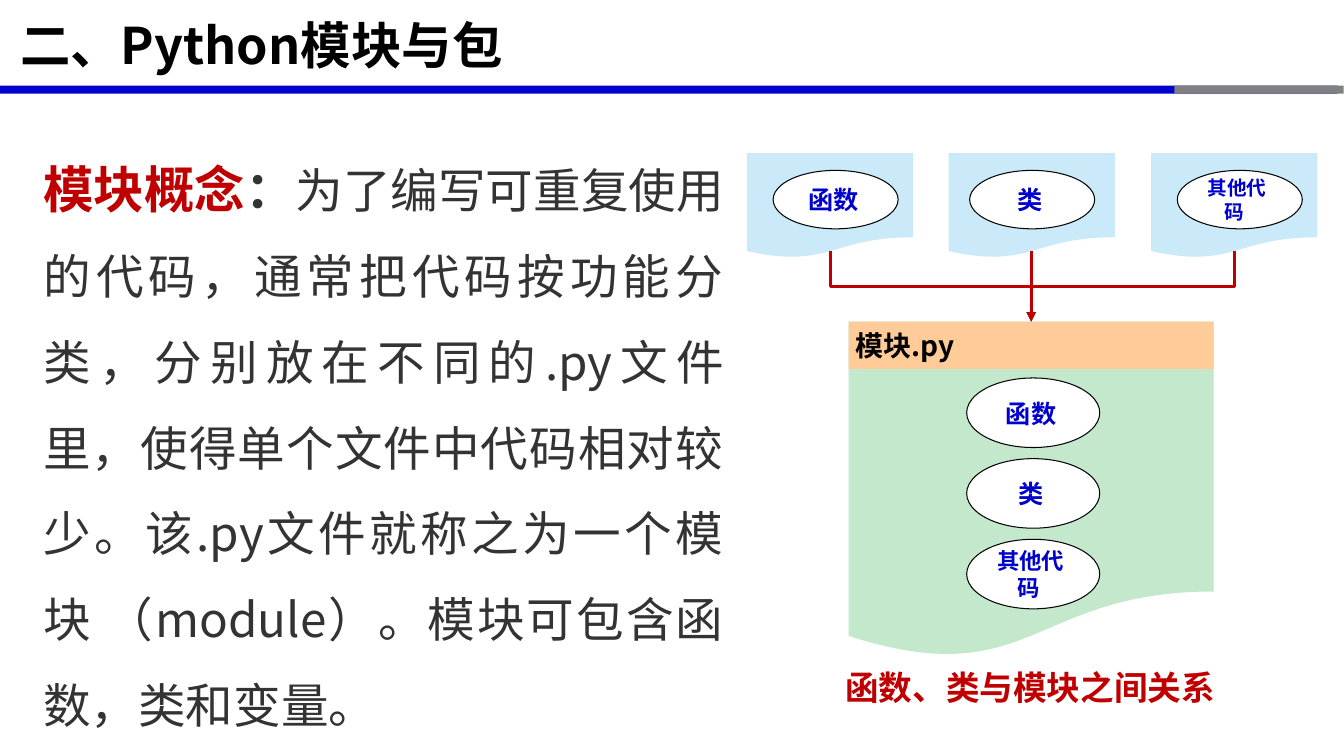
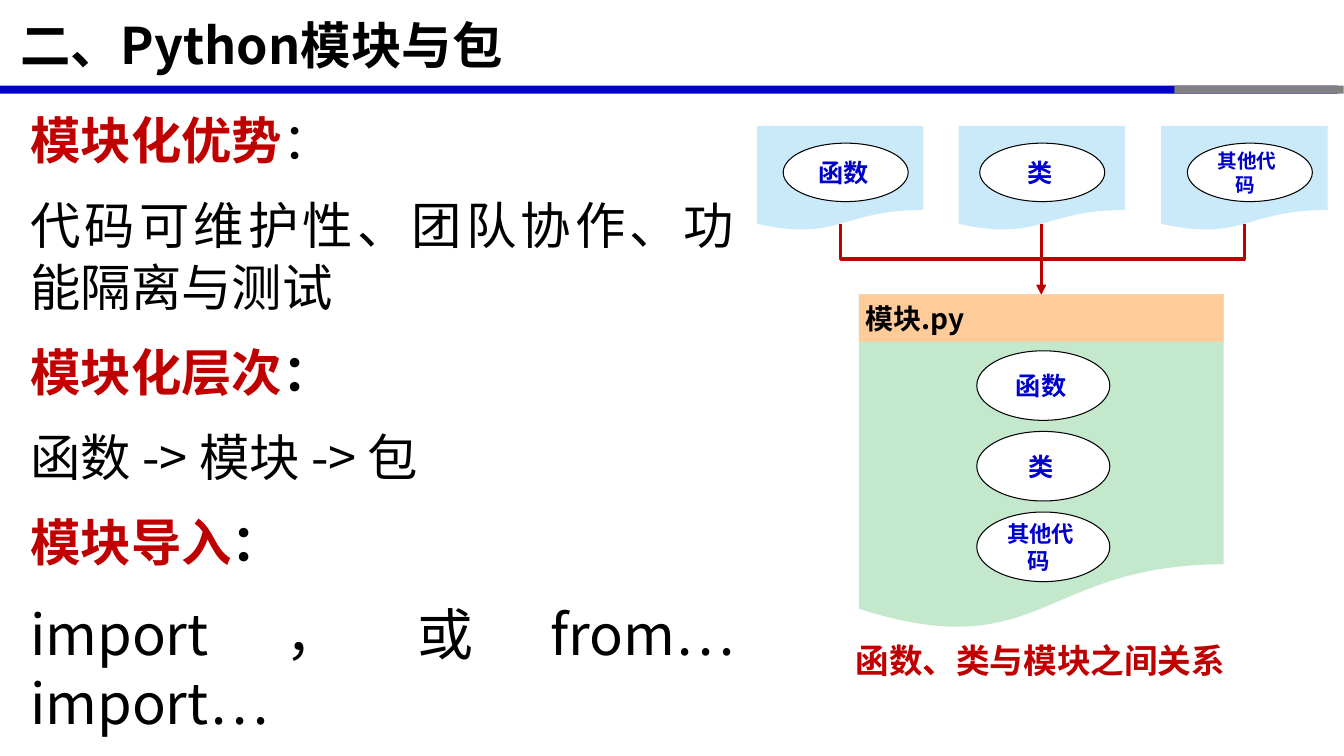
from lxml.etree import SubElement
from pptx import Presentation
from pptx.dml.color import RGBColor
from pptx.enum.shapes import MSO_CONNECTOR as Link, MSO_SHAPE as Preset
from pptx.enum.text import MSO_ANCHOR as Anchor, MSO_AUTO_SIZE as AutoSize, PP_ALIGN as Align
from pptx.oxml.ns import qn
from pptx.util import Emu, Pt

PX = 9144  # one hundredth of an inch
FONT = "Noto Sans CJK SC"
LINE_RATIO = 1.22
COLORS = {
    "blue": "0000CC", "gray": "808080", "red": "C00000", "black": "000000",
    "text": "333333", "white": "FFFFFF", "sky": "CAEAFA", "green": "C3E8CC",
    "orange": "FFCC99",
}
TITLE = "二、Python模块与包"
CAPTION = "函数、类与模块之间关系"
PARTS = [" 函数", " 类", " 其他代码"]


def px(value):
    return Emu(round(value * PX))


def rgb(name):
    return RGBColor.from_string(COLORS[name])


def place(shape, box):
    shape.left, shape.top, shape.width, shape.height = map(px, box)


def write(frame, paragraphs, size=36, color="black", bold=False, align=Align.LEFT,
          anchor=Anchor.TOP, line=None, gap=0.48, indent=0, margins=(10, 5, 10, 5)):
    """Fill a text frame; a paragraph is a list of (text, format overrides)."""
    frame.word_wrap = True
    frame.auto_size = AutoSize.NONE
    frame.vertical_anchor = anchor
    (frame.margin_left, frame.margin_top,
     frame.margin_right, frame.margin_bottom) = map(px, margins)
    for index, spans in enumerate(paragraphs):
        para = frame.add_paragraph() if index else frame.paragraphs[0]
        largest = max(style.get("size", size) for _, style in spans)
        para.alignment = align
        para.line_spacing = Pt(line or round(largest * LINE_RATIO, 1))
        para.space_before = Pt(round(largest * gap) if index else 0)
        para.space_after = Pt(0)
        properties = para._p.get_or_add_pPr()
        properties.set("marL", "0")
        properties.set("indent", str(px(indent)))
        properties.set("hangingPunct", "0")
        SubElement(properties, qn("a:buNone"))
        for text, style in spans:
            span = para.add_run()
            span.text = text
            font = span.font
            font.name = FONT
            font.size = Pt(style.get("size", size))
            font.bold = style.get("bold", bold)
            font.color.rgb = rgb(style.get("color", color))
            for tag in ("a:ea", "a:cs"):
                SubElement(span._r.get_or_add_rPr(), qn(tag), typeface=FONT)


def add_block(page, preset, box, fill, outline=None):
    shape = page.shapes.add_shape(preset, *map(px, box))
    shape.shadow.inherit = False
    shape.fill.solid()
    shape.fill.fore_color.rgb = rgb(fill)
    if outline:
        shape.line.color.rgb = rgb(outline)
        shape.line.width = Pt(0.75)
    else:
        shape.line.fill.background()
    return shape


def add_label(page, preset, box, text, fill, outline=None, **style):
    shape = add_block(page, preset, box, fill, outline)
    write(shape.text_frame, [[(text, {})]], bold=True, anchor=Anchor.MIDDLE,
          margins=(0, 5, 10, 5), **style)


def add_oval(page, box, text, size):
    add_label(page, Preset.OVAL, box, text, "white", "black",
              size=size, color="blue", align=Align.CENTER)


def add_line(page, link, ends, color, width):
    line = page.shapes.add_connector(link, *map(px, ends))
    line.line.color.rgb = rgb(color)
    line.line.width = Pt(width)
    SubElement(line.element.spPr, qn("a:effectLst"))
    return line


def add_arrow(page, start, end):
    """Draw an arrow that leaves downwards and enters downwards."""
    (x1, y1), (x2, y2) = start, end
    link, ends, turn = Link.STRAIGHT, (x1, y1, x2, y2), 0
    if x1 != x2:
        # A bent connector runs sideways first, so it is laid flat and turned.
        side = 1 if x1 > x2 else -1
        mid_x, mid_y = (x1 + x2) / 2, (y1 + y2) / 2
        reach, half = side * (y2 - y1) / 2, abs(x2 - x1) / 2
        link, turn = Link.ELBOW, 90 * side % 360
        ends = (mid_x - reach, mid_y - half, mid_x + reach, mid_y + half)
    arrow = add_line(page, link, ends, "red", 2.25)
    arrow.rotation = turn
    SubElement(arrow.element.spPr.find(qn("a:ln")), qn("a:tailEnd"), type="triangle")


def add_diagram(page, left, top):
    """Three source documents that flow into one module file."""
    center, module_left, module_top, module_width = 282, 101, 167, 362
    oval_lefts = (26, 221, 427)
    for index, (text, oval_left) in enumerate(zip(PARTS, oval_lefts)):
        x = left + index * 401 // 2
        add_block(page, Preset.FLOWCHART_DOCUMENT, (x, top, 165, 104), "sky")
        add_oval(page, (left + oval_left, top + 17, 124, 58), text, 14 if index == 2 else 18)

    module = (left + module_left, top + module_top, module_width)
    add_block(page, Preset.FLOWCHART_DOCUMENT, (*module, 334), "green")
    for index, text in enumerate(PARTS):
        add_oval(page, (left + 218, top + 223 + 80 * index, 132, 69), text,
                 16 if index == 2 else 18)
    add_label(page, Preset.RECTANGLE, (*module, 47), " 模块.py", "orange", size=20)

    for x in (83, 484, center):
        add_arrow(page, (left + x, top + 97), (left + center, top + module_top))

    caption = page.shapes.add_textbox(*map(px, (left - 13, top + 504, 588, 50)))
    write(caption.text_frame, [[(CAPTION, {})]], size=24, color="red", bold=True,
          align=Align.CENTER)


def share_bands(layout, page):
    """Draw the title bands and the footer rule, and move them to the layout."""
    parts = [
        add_block(page, Preset.RECTANGLE, (0, 85, 1327, 8), "blue"),
        add_block(page, Preset.RECTANGLE, (1165, 85, 168, 8), "gray"),
        add_line(page, Link.STRAIGHT, (0, 699, 1333, 699), "white", 0.25),
    ]
    for index, part in enumerate(parts):
        part.element[0][0].set("id", str(100 + index))
        layout.shapes.element.insert(2 + index, part.element)


def fill_page(page, body_box, paragraphs, diagram_at, **style):
    write(page.shapes.title.text_frame, [[(TITLE, {})]], bold=True,
          anchor=Anchor.MIDDLE, indent=10)
    body = page.placeholders[1]
    place(body, body_box)
    write(body.text_frame, paragraphs, align=Align.JUSTIFY, **style)
    add_diagram(page, *diagram_at)


def heading(text, **colon):
    return [(text, {"color": "red", "bold": True}), ("：", colon)]


def main():
    deck = Presentation()
    deck.slide_width, deck.slide_height = Emu(12192000), Emu(6858000)
    layout = deck.slide_layouts[1]
    place(layout.placeholders[0], (0, 0, 1152, 87))
    concept, benefits = [deck.slides.add_slide(layout) for _ in range(2)]
    share_bands(layout, concept)

    definition = heading("模块概念", bold=True) + [(
        "为了编写可重复使用的代码，通常把代码按功能分类，分别放在不同的.py文件里，"
        "使得单个文件中代码相对较少。该.py文件就称之为一个模块 （module）。"
        "模块可包含函数，类和变量。", {"size": 34})]
    fill_page(concept, (33, 127, 695, 606), [definition], (741, 152),
              color="text", line=61.2)

    points = [
        heading("模块化优势"),
        [("代码可维护性、团队协作、功能隔离与测试", {})],
        heading("模块化层次", bold=True),
        [("函数 -> 模块 -> 包", {})],
        heading("模块导入", bold=True),
        [("import，或from…import…", {"size": 40})],
    ]
    fill_page(benefits, (20, 102, 719, 596), points, (751, 125))

    deck.save("out.pptx")


if __name__ == "__main__":
    main()
